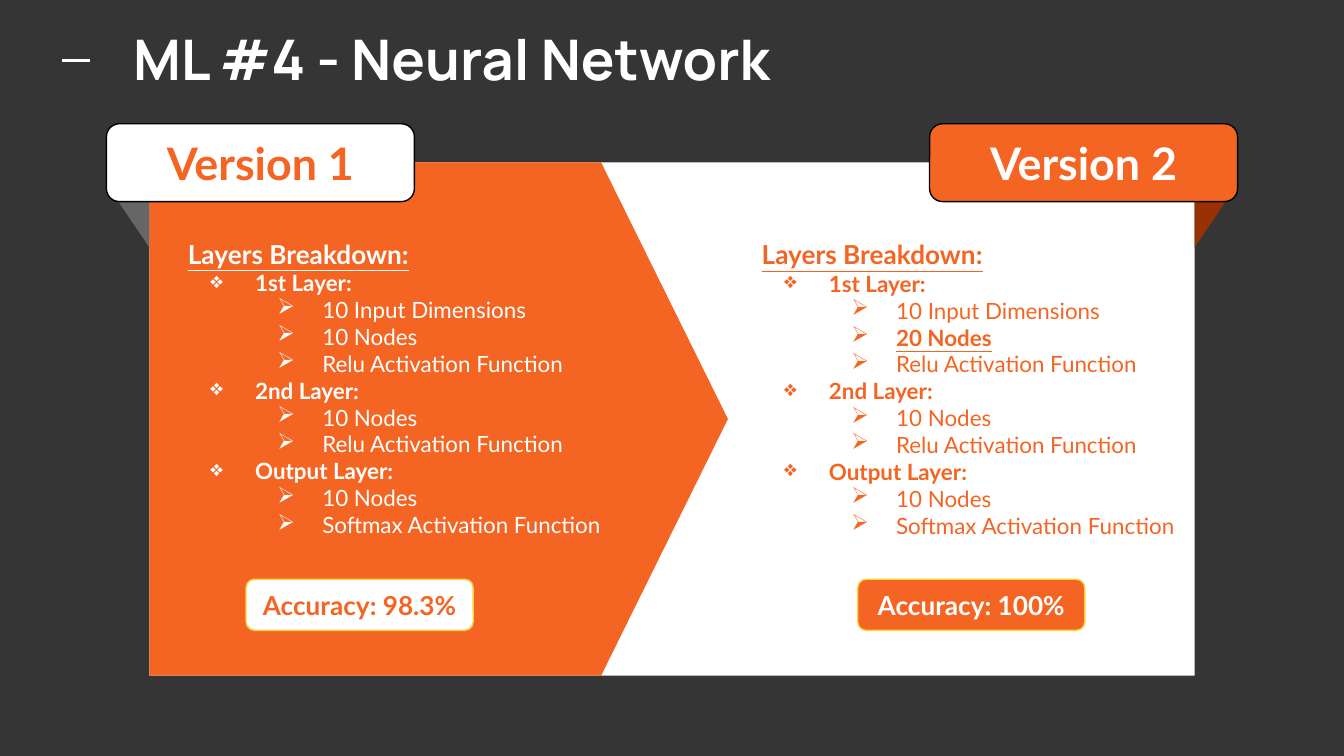
"""Build a slide comparing two versions of a neural network."""
import dataclasses

import lxml.etree
import pptx
import pptx.dml.color
import pptx.enum.shapes
import pptx.enum.text
import pptx.oxml.ns
import pptx.util

Pt = pptx.util.Pt
SHAPE = pptx.enum.shapes.MSO_SHAPE
ALIGN = pptx.enum.text.PP_ALIGN
PAGE_WIDTH, PAGE_HEIGHT = 720, 405


@dataclasses.dataclass(frozen=True)
class Theme:
    dark: str = "353535"
    white: str = "FFFFFF"
    orange: str = "F46524"
    grey_fold: str = "666666"
    orange_fold: str = "983205"
    black: str = "000000"
    yellow: str = "F9D33E"
    heading_font: str = "Manrope"
    body_font: str = "Lato"
    title_size: int = 30
    tag_size: int = 24
    heading_size: int = 14
    body_size: int = 12


THEME = Theme()


def rgb(color):
    return pptx.dml.color.RGBColor.from_string(color)


def write_text(paragraph, text, *, size, color, font=THEME.body_font, bold=True,
               underline=False, align=ALIGN.LEFT):
    paragraph.alignment = align
    run = paragraph.add_run()
    run.text = text
    run.font.name = font
    run.font.size = Pt(size)
    run.font.bold = bold
    run.font.underline = underline
    run.font.color.rgb = rgb(color)


def add_bullet(paragraph, symbol, color, level):
    paragraph.level = level
    properties = paragraph._p.get_or_add_pPr()
    properties.set("marL", str(Pt(36 * (level + 1))))
    properties.set("indent", str(Pt(-24)))
    qn = pptx.oxml.ns.qn
    tint = lxml.etree.SubElement(properties, qn("a:buClr"))
    lxml.etree.SubElement(tint, qn("a:srgbClr"), val=color)
    lxml.etree.SubElement(properties, qn("a:buChar"), char=symbol)


class SlideBuilder:
    def __init__(self, slide, theme):
        self.slide = slide
        self.theme = theme
        slide.background.fill.solid()
        slide.background.fill.fore_color.rgb = rgb(theme.dark)

    def rule(self, left, right, y):
        dash = self.slide.shapes.add_connector(
            pptx.enum.shapes.MSO_CONNECTOR.STRAIGHT, Pt(left), Pt(y), Pt(right), Pt(y))
        dash.line.color.rgb = rgb(self.theme.white)
        dash.line.width = Pt(1.5)
        lxml.etree.SubElement(dash._element.spPr, pptx.oxml.ns.qn("a:effectLst"))

    def panel(self, kind, box, fill, outline=None, adjust=None):
        panel = self.slide.shapes.add_shape(kind, *map(Pt, box))
        panel.shadow.inherit = False
        panel.fill.solid()
        panel.fill.fore_color.rgb = rgb(fill)
        if outline:
            panel.line.color.rgb = rgb(outline)
            panel.line.width = Pt(0.75)
        else:
            panel.line.fill.background()
        if adjust is not None:
            panel.adjustments[0] = adjust
        return panel

    def fold(self, box, fill, mirrored):
        fold = self.panel(SHAPE.RIGHT_TRIANGLE, box, fill)
        fold.rotation = 180
        if mirrored:
            fold._element.spPr.xfrm.set("flipH", "1")

    def label(self, box, text, fill, color, outline, size):
        label = self.panel(SHAPE.ROUNDED_RECTANGLE, box, fill, outline, 0.167)
        frame = self.frame(label)
        frame.vertical_anchor = pptx.enum.text.MSO_ANCHOR.MIDDLE
        write_text(frame.paragraphs[0], text, size=size, color=color, align=ALIGN.CENTER)

    def frame(self, holder):
        frame = holder.text_frame
        frame.word_wrap = True
        frame.margin_left = frame.margin_right = Pt(7.2)
        frame.margin_top = frame.margin_bottom = Pt(7.2)
        return frame

    def text_box(self, box):
        return self.frame(self.slide.shapes.add_textbox(*map(Pt, box)))

    def title(self, box, text):
        write_text(self.text_box(box).paragraphs[0], text, size=self.theme.title_size,
                   color=self.theme.white, font=self.theme.heading_font)

    def breakdown(self, box, layers, color, changed):
        frame = self.text_box(box)
        write_text(frame.paragraphs[0], "Layers Breakdown:", size=self.theme.heading_size,
                   color=color, underline=True)
        for layer, details in layers.items():
            heading = frame.add_paragraph()
            add_bullet(heading, "❖", color, 0)
            write_text(heading, layer, size=self.theme.body_size, color=color)
            for detail in details:
                item = frame.add_paragraph()
                add_bullet(item, "➢", color, 1)
                write_text(item, detail, size=self.theme.body_size, color=color,
                           bold=detail == changed, underline=detail == changed)


def network_layers(first_nodes):
    relu = "Relu Activation Function"
    return {
        "1st Layer:": ["10 Input Dimensions", first_nodes, relu],
        "2nd Layer:": ["10 Nodes", relu],
        "Output Layer:": ["10 Nodes", "Softmax Activation Function"],
    }


def main():
    deck = pptx.Presentation()
    deck.slide_width, deck.slide_height = Pt(PAGE_WIDTH), Pt(PAGE_HEIGHT)
    builder = SlideBuilder(deck.slides.add_slide(deck.slide_layouts[6]), THEME)

    builder.rule(33.5, 48, 32.5)
    builder.title((64.3, 6, 366, 46), "ML #4 - Neural Network")
    builder.panel(SHAPE.RECTANGLE, (80, 87, 560, 275), THEME.white)
    builder.panel(SHAPE.PENTAGON, (80, 87, 310, 275), THEME.orange, adjust=0.247)

    versions = [
        ("Version 1", "Accuracy: 98.3%", "10 Nodes", None, THEME.white, THEME.orange,
         THEME.grey_fold, (93.6, 120.3, 246, 177), 131.8),
        ("Version 2", "Accuracy: 100%", "20 Nodes", "20 Nodes", THEME.orange, THEME.white,
         THEME.orange_fold, (401, 120.6, 239, 177), 459.5),
    ]
    tag_width, fold_width = 165, 16.6
    for index, (name, accuracy, nodes, changed, fill, color, shade,
                breakdown_box, accuracy_left) in enumerate(versions):
        mirrored = index == 1
        tag_left = PAGE_WIDTH - 57 - tag_width if mirrored else 57
        fold_left = 640 if mirrored else 80 - fold_width
        builder.fold((fold_left, 108, fold_width, 24.5), shade, mirrored)
        builder.label((tag_left, 66.3, tag_width, 41.7), name, fill, color,
                      THEME.black, THEME.tag_size)
        builder.breakdown(breakdown_box, network_layers(nodes), fill, changed)
        builder.label((accuracy_left, 310.3, 121.7, 27.4), accuracy, fill, color,
                      THEME.yellow, THEME.heading_size)

    deck.save("out.pptx")


if __name__ == "__main__":
    main()
